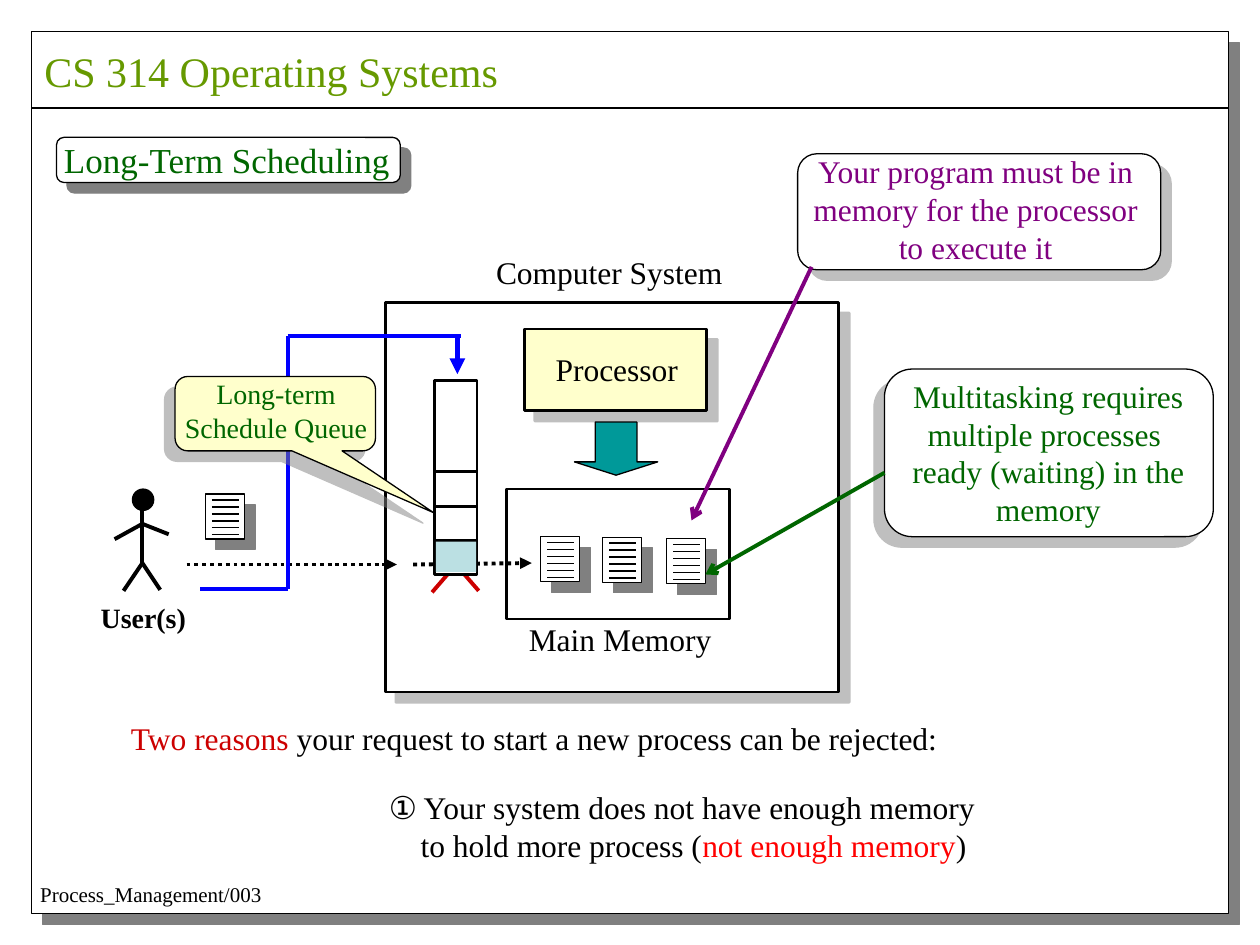
import pptx
import pptx.dml.color
import pptx.enum.dml
import pptx.enum.shapes
import pptx.enum.text
import pptx.oxml.ns
import pptx.util
from dataclasses import dataclass
from itertools import pairwise
from lxml import etree

Cm, Pt = pptx.util.Cm, pptx.util.Pt
qn = pptx.oxml.ns.qn
Kind = pptx.enum.shapes.MSO_SHAPE
Align = pptx.enum.text.PP_ALIGN

HUE = {
    "black": "000000", "white": "FFFFFF", "gray": "808080", "olive": "669900",
    "green": "006600", "cream": "FFFFCC", "teal": "009999", "brick": "CC0000",
    "red": "FF0000", "plum": "800080", "blue": "0000FF", "ice": "BBE0E3",
}
FONT = "Times New Roman"


@dataclass
class Box:
    at: tuple  # left, top, width, height in cm
    kind: int = Kind.RECTANGLE
    fill: str = "white"
    line: float = 0.75  # points, 0 for none
    shade: int = 0  # shadow opacity in percent
    turn: int = 45  # shadow direction in degrees
    adj: tuple = ()


@dataclass
class Label:
    at: tuple
    rows: list  # each row is a text or a list of (text, colour) runs
    size: int = 18
    hue: str = "black"
    bold: bool = False
    mid: bool = False


@dataclass
class Line:
    start: tuple
    end: tuple
    hue: str = "black"
    width: float = 2.25
    tip: str = ""
    dots: bool = False


def rgb(hue: str):
    return pptx.dml.color.RGBColor.from_string(HUE[hue])


def draw_box(box: Box):
    shape = slide.shapes.add_shape(box.kind, *map(Cm, box.at))
    for i, val in enumerate(box.adj):
        shape.adjustments[i] = val
    shape.fill.solid()
    shape.fill.fore_color.rgb = rgb(box.fill)
    if box.line:
        shape.line.color.rgb = rgb("black")
        shape.line.width = Pt(box.line)
    else:
        shape.line.fill.background()
    shape.shadow.inherit = False
    if box.shade:
        glow = etree.SubElement(
            shape._element.spPr.find(qn("a:effectLst")), qn("a:outerShdw"),
            dist=str(Pt(8.5)), dir=str(box.turn * 60000), algn="ctr", rotWithShape="0")
        tint = etree.SubElement(glow, qn("a:srgbClr"), val=HUE["gray"])
        etree.SubElement(tint, qn("a:alpha"), val=str(box.shade * 1000))
    return shape


def draw_line(line: Line):
    link = slide.shapes.add_connector(
        pptx.enum.shapes.MSO_CONNECTOR.STRAIGHT, *map(Cm, line.start + line.end))
    link.line.color.rgb = rgb(line.hue)
    link.line.width = Pt(line.width)
    if line.dots:
        link.line.dash_style = pptx.enum.dml.MSO_LINE.ROUND_DOT
    props = link._element.spPr
    if line.tip:
        etree.SubElement(props.find(qn("a:ln")), qn("a:tailEnd"), type=line.tip)
    etree.SubElement(props, qn("a:effectLst"))


def set_text(shape, label: Label):
    frame = shape.text_frame
    frame.word_wrap = False
    frame.auto_size = pptx.enum.text.MSO_AUTO_SIZE.NONE
    frame.vertical_anchor = pptx.enum.text.MSO_ANCHOR.TOP
    for i, row in enumerate(label.rows):
        para = frame.add_paragraph() if i else frame.paragraphs[0]
        para.alignment = Align.CENTER if label.mid else Align.LEFT
        para.font.name = FONT
        para.font.size = Pt(label.size)
        para.font.bold = label.bold
        para.font.color.rgb = rgb(label.hue)
        for text, hue in [(row, label.hue)] if isinstance(row, str) else row:
            run = para.add_run()
            run.text = text
            if hue != label.hue:
                run.font.color.rgb = rgb(hue)


def draw_label(label: Label):
    shape = slide.shapes.add_textbox(*map(Cm, label.at))
    set_text(shape, label)
    return shape


def draw_page(x: float, y: float):
    draw_box(Box((x, y, 0.79, 0.91), shade=100))
    for i in range(6):
        row = y + 0.12 + 0.14 * i
        draw_line(Line((x + 0.13, row), (x + 0.67, row), width=0.75))


deck = pptx.Presentation()
deck.slide_width, deck.slide_height = Cm(25.4), Cm(19.05)
slide = deck.slides.add_slide(deck.slide_layouts[5])

# Frame, title and footer
draw_box(Box((0.64, 0.64, 24.13, 17.78), shade=100))
draw_line(Line((0.64, 2.18), (24.77, 2.18), width=0.75))
head = Label((0.64, 0.79, 12, 1.27), ["CS 314 Operating Systems"], 24, "olive")
title = slide.shapes.title
title.left, title.top, title.width, title.height = map(Cm, head.at)
set_text(title, head)
title._element.getparent().append(title._element)  # in front of the frame
draw_box(Box((1.14, 2.77, 6.93, 0.91), Kind.ROUNDED_RECTANGLE, shade=100))
draw_label(Label((1.04, 2.67, 7.11, 1.12), ["Long-Term Scheduling"], 20, "green"))
draw_label(Label((0.56, 17.65, 4.98, 0.76), ["Process_Management/003"], 12))

# Computer system
for box in (
    Box((7.77, 6.1, 9.14, 7.85), line=1.5, shade=50),
    Box((10.57, 6.63, 3.68, 1.65), fill="cream", line=1.5, shade=50),
    Box((11.58, 8.51, 1.68, 1.07), Kind.DOWN_ARROW, "teal", adj=(0.5, 0.25)),
    Box((10.21, 9.86, 4.5, 2.62), line=1.5),
):
    draw_box(box)
for label in (
    Label((9.75, 4.98, 5.08, 1.02), ["Computer System"]),
    Label((10.95, 6.93, 2.97, 1.02), ["Processor"]),
    Label((10.41, 12.37, 4.19, 1.02), ["Main Memory"]),
):
    draw_label(label)

# User
draw_box(Box((2.67, 9.86, 0.43, 0.43), Kind.OVAL, "black"))
hip, neck = (2.87, 11.35), (2.87, 10.56)
for start, end in (
    ((2.87, 10.06), hip), (hip, (2.49, 11.91)), (hip, (3.23, 11.89)),
    (neck, (2.31, 10.87)), (neck, (3.4, 10.77)),
):
    draw_line(Line(start, end))
draw_label(Label((1.78, 11.99, 2.21, 0.94), ["User(s)"], 16, bold=True))

# Dotted flow and crossed queue legs
for line in (
    Line((3.76, 11.38), (8, 11.38), tip="triangle", dots=True),
    Line((8.33, 11.38), (10.72, 11.35), tip="triangle", dots=True),
    Line((8.84, 10.98), (9.65, 11.91), "brick"),
    Line((9.54, 10.98), (8.71, 11.94), "brick"),
):
    draw_line(line)

# Program pages
for x, y in ((4.14, 9.96), (10.9, 10.82), (12.15, 10.83), (13.44, 10.86)):
    draw_page(x, y)

# Notes with arrows
draw_box(Box((16.08, 3.1, 7.32, 2.34), Kind.ROUNDED_RECTANGLE, shade=50))
draw_label(Label((16.15, 2.95, 7.04, 2.54), [
    "Your program must be in", "memory for the processor", "to execute it",
], hue="plum", mid=True))
draw_line(Line((16.36, 5.38), (13.94, 10.49), "plum", tip="arrow"))
draw_box(Box((17.83, 7.44, 6.63, 3.38), Kind.ROUNDED_RECTANGLE, shade=50, turn=135))
draw_label(Label((18.14, 7.47, 5.99, 3.3), [
    "Multitasking requires", "multiple processes ", "ready (waiting) in the", "memory",
], hue="green", mid=True))
draw_line(Line((17.83, 9.53), (14.22, 11.58), "green", tip="arrow"))

# Reasons
draw_label(Label((2.39, 14.38, 16.81, 1.02), [[
    ("Two reasons ", "brick"),
    ("your request to start a new process can be rejected:", "black"),
]]))
cause = draw_label(Label((7.59, 15.77, 12.42, 1.78), [
    [("①", "black"), (" Your system does not have enough memory", "black")],
    [("to hold more process (", "black"), ("not enough memory", "red"), (")", "black")],
]))
first, second = cause.text_frame.paragraphs
first.runs[0].font.name = "Arial"
second._p.get_or_add_pPr().set("marL", str(Cm(0.64)))

# Schedule queue
draw_box(Box((8.76, 7.67, 0.86, 3.91), line=1.5))
for y in (9.5, 10.21, 10.9):
    draw_line(Line((8.76, y), (9.62, y), width=1.5))
draw_box(Box((8.79, 10.92, 0.81, 0.61), fill="ice", line=0))

# Request route into the queue
route = [(4.04, 11.87), (5.8, 11.87), (5.8, 6.78), (9.3, 6.78)]
for start, end in pairwise(route):
    draw_line(Line(start, end, "blue"))
draw_line(Line((9.22, 6.78), (9.22, 7.54), "blue", 3, "triangle"))

# Queue callout
draw_box(Box((3.53, 7.59, 4.04, 1.5), Kind.ROUNDED_RECTANGULAR_CALLOUT, "cream",
             shade=50, turn=135, adj=(0.79, 1.33, 0.17)))
draw_label(Label((3.48, 7.47, 4.17, 1.63), ["Long-term", "Schedule Queue"],
                 16, "green", mid=True))

deck.save("out.pptx")
